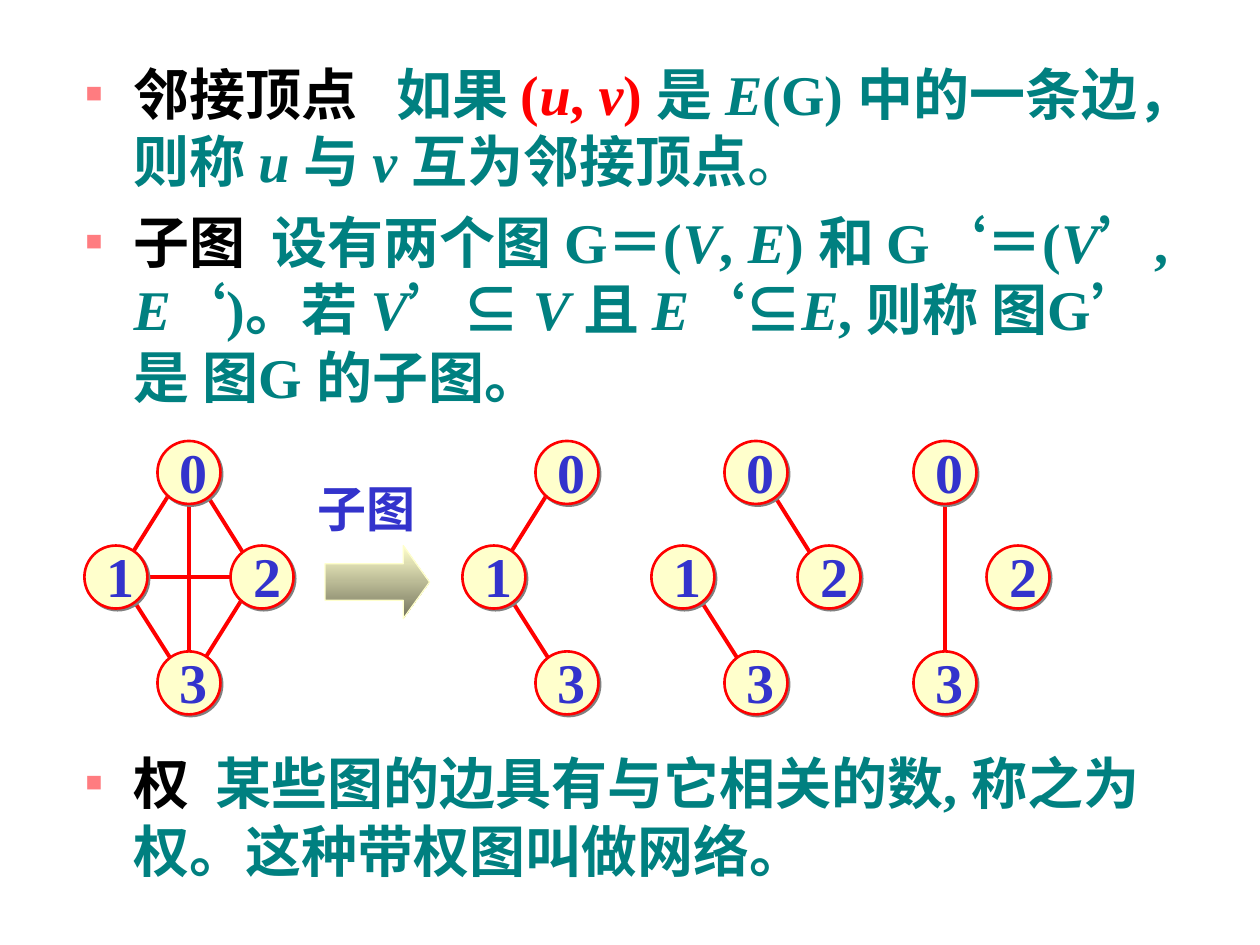
from dataclasses import dataclass
from typing import NamedTuple, Optional

import pptx
import pptx.dml.color
import pptx.enum.lang
import pptx.enum.shapes
import pptx.enum.text
import pptx.oxml
import pptx.oxml.ns
import pptx.util

Inches, Pt = pptx.util.Inches, pptx.util.Pt
SHAPE = pptx.enum.shapes.MSO_SHAPE
AUTO_SIZE = pptx.enum.text.MSO_AUTO_SIZE


@dataclass(frozen=True)
class Theme:
    font: str = "Times New Roman"
    symbol_font: str = "Arial"
    term: str = "000000"
    body: str = "008080"
    accent: str = "FF0000"
    label: str = "3333CC"
    bullet: str = "FF7C80"
    node: str = "FFFFCC"
    arrow_dark: str = "75755E"
    shadow: str = "808080"
    text_size: int = 32
    caption_size: int = 28


THEME = Theme()


class Span(NamedTuple):
    text: str
    color: Optional[str] = None
    italic: bool = False
    bold: bool = True
    font: Optional[str] = None


class Definition(NamedTuple):
    space_before: float
    spans: list[Span]


class Graph(NamedTuple):
    center: float
    nodes: str
    edges: list[str]


def var(name: str, color: Optional[str] = None) -> Span:
    """An italic variable name."""
    return Span(name, color, italic=True)


SUBSET = Span("⊆", font=THEME.symbol_font)
DEFINITIONS = [
    Definition(8, [
        Span("邻接顶点   ", THEME.term), Span("如果 "), Span("(", THEME.accent),
        var("u", THEME.accent), Span(", ", THEME.accent), var("v", THEME.accent),
        Span(") ", THEME.accent), Span("是 "), var("E"), Span("(G) 中的一条边，则称 "),
        var("u "), Span("与 "), var("v "), Span("互为邻接顶点"), Span("。", bold=False)]),
    Definition(8, [
        Span("子图  ", THEME.term), Span("设有两个图 G＝("), var("V"), Span(", "),
        var("E"), Span(") 和 G‘＝("), var("V"), Span("’, "), var("E"),
        Span("‘)。若 "), var("V"), Span("’"), SUBSET._replace(text="⊆ "), var("V "),
        Span("且 "), var("E"), Span("‘"), SUBSET, var("E"),
        Span(", 则称 图G’ 是 图G 的子图。")]),
    # The wide space leaves room for the graphs.
    Definition(194, [
        Span("权  ", THEME.term),
        Span("某些图的边具有与它相关的数, 称之为权。这种带权图叫做网络。")]),
]

# Horizontal values are measured from a graph's centre line.
NODES = {"0": (-0.25, 3.5), "1": (-0.83, 4.33), "2": (0.33, 4.33), "3": (-0.25, 5.17)}
EDGES = {
    "01": (-0.08, 3.8, -0.5, 4.47),
    "02": (0.08, 3.83, 0.5, 4.5),
    "03": (0, 3.92, 0, 5.38),
    "12": (-0.42, 4.58, 0.5, 4.58),
    "13": (-0.5, 4.67, -0.08, 5.33),
    "23": (0.5, 4.63, 0.08, 5.3),
}
GRAPHS = [
    Graph(1.5, "1203", list(EDGES)),
    Graph(4.5, "103", ["01", "13"]),
    Graph(6, "1203", ["13", "02"]),
    Graph(7.5, "203", ["03"]),
]


def rgb(value: str) -> pptx.dml.color.RGBColor:
    return pptx.dml.color.RGBColor.from_string(value)


def add_xml(parent, xml: str) -> None:
    ns = pptx.oxml.ns.nsdecls("a")
    parent.append(pptx.oxml.parse_xml(xml.replace(" ", f" {ns} ", 1)))


def set_font(font, size: int, color: str) -> None:
    font.name, font.size, font.bold = THEME.font, Pt(size), True
    font.color.rgb = rgb(color)


def add_definition(p, definition: Definition) -> None:
    p.space_before = Pt(definition.space_before)
    pPr = p._p.get_or_add_pPr()
    pPr.set("marL", str(Inches(0.38)))
    pPr.set("indent", str(Inches(-0.38)))
    add_xml(pPr, f'<a:buClr ><a:srgbClr val="{THEME.bullet}"/></a:buClr>')
    add_xml(pPr, '<a:buSzPct val="50000"/>')
    add_xml(pPr, f'<a:buFont typeface="{THEME.symbol_font}"/>')
    add_xml(pPr, '<a:buChar char="■"/>')
    for span in definition.spans:
        r = p.add_run()
        r.text = span.text
        set_font(r.font, THEME.text_size, span.color or THEME.body)
        r.font.name = span.font or THEME.font
        r.font.bold, r.font.italic = span.bold, span.italic
        r.font.language_id = pptx.enum.lang.MSO_LANGUAGE_ID.SIMPLIFIED_CHINESE


def add_body(slide) -> None:
    body = slide.placeholders[1]
    body.left, body.top = Inches(0.58), Inches(0.42)
    body.width, body.height = Inches(8.83), Inches(6.67)
    tf = body.text_frame
    tf.word_wrap, tf.auto_size = True, AUTO_SIZE.NONE
    for i, definition in enumerate(DEFINITIONS):
        add_definition(tf.add_paragraph() if i else tf.paragraphs[0], definition)


def add_label(slide, text: str, x: float, y: float, w: float, h: float, size: int) -> None:
    tf = slide.shapes.add_textbox(Inches(x), Inches(y), Inches(w), Inches(h)).text_frame
    tf.word_wrap, tf.auto_size = False, AUTO_SIZE.SHAPE_TO_FIT_TEXT
    p = tf.paragraphs[0]
    p.text = text
    set_font(p.font, size, THEME.label)


def add_edge(slide, x1: float, y1: float, x2: float, y2: float) -> None:
    line = slide.shapes.add_connector(
        pptx.enum.shapes.MSO_CONNECTOR.STRAIGHT,
        Inches(x1), Inches(y1), Inches(x2), Inches(y2))
    line.line.color.rgb = rgb(THEME.accent)
    line.line.width = Pt(2.25)
    add_xml(line._element.spPr, "<a:effectLst />")


def add_node(slide, x: float, y: float) -> None:
    sp = slide.shapes.add_shape(SHAPE.OVAL, Inches(x), Inches(y), Inches(0.5), Inches(0.5))
    sp.fill.solid()
    sp.fill.fore_color.rgb = rgb(THEME.node)
    sp.line.color.rgb = rgb(THEME.accent)
    sp.line.width = Pt(1.5)
    sp.shadow.inherit = False
    effects = sp._element.spPr.find(pptx.oxml.ns.qn("a:effectLst"))
    add_xml(effects, f'<a:outerShdw dist="{Pt(1.4)}" dir="2700000" algn="ctr" rotWithShape="0">'
                     f'<a:srgbClr val="{THEME.shadow}"/></a:outerShdw>')


def add_graph(slide, graph: Graph) -> None:
    for edge in graph.edges:
        x1, y1, x2, y2 = EDGES[edge]
        add_edge(slide, graph.center + x1, y1, graph.center + x2, y2)
    places = {name: (graph.center + NODES[name][0], NODES[name][1]) for name in graph.nodes}
    for x, y in places.values():
        add_node(slide, x, y)
    for name, (x, y) in places.items():
        add_label(slide, name, x + 0.08, y - 0.08, 0.42, 0.64, THEME.text_size)


def add_arrow(slide) -> None:
    sp = slide.shapes.add_shape(
        SHAPE.RIGHT_ARROW, Inches(2.58), Inches(4.33), Inches(0.83), Inches(0.58))
    sp.adjustments[0], sp.adjustments[1] = 0.5, 0.36
    sp.fill.gradient()
    sp.fill.gradient_angle = 270
    for stop, color in zip(sp.fill.gradient_stops, (THEME.node, THEME.arrow_dark)):
        stop.color.rgb = rgb(color)
    sp.line.color.rgb = rgb(THEME.node)
    sp.line.width = Pt(0.75)
    sp.shadow.inherit = False


def main() -> None:
    prs = pptx.Presentation()
    prs.slide_width, prs.slide_height = Inches(10), Inches(7.5)
    slide = prs.slides.add_slide(prs.slide_layouts[1])
    title = slide.shapes.title._element
    title.getparent().remove(title)
    add_body(slide)
    for graph in GRAPHS:
        add_graph(slide, graph)
    add_arrow(slide)
    add_label(slide, "子图", 2.42, 3.75, 1, 0.57, THEME.caption_size)
    prs.save("out.pptx")


if __name__ == "__main__":
    main()
